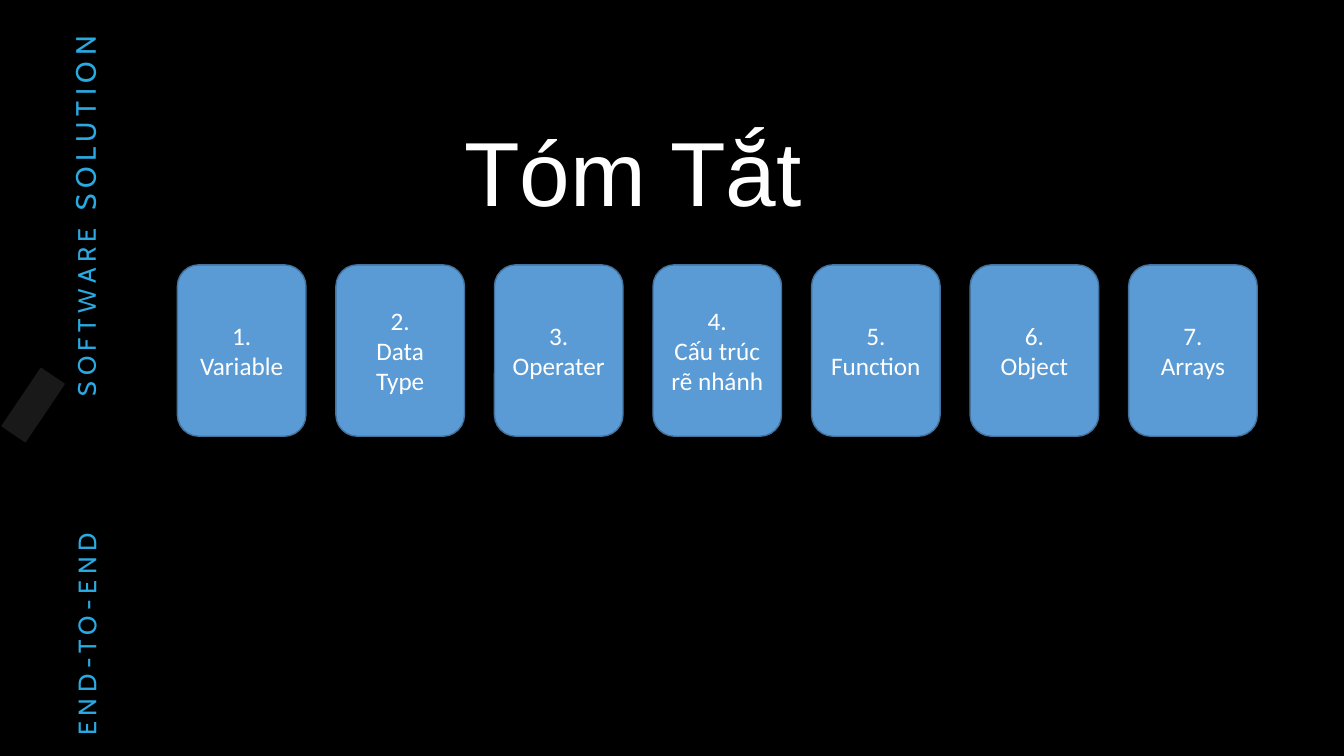
from pptx import Presentation
from pptx.dml.color import RGBColor
from pptx.enum.shapes import MSO_SHAPE
from pptx.enum.text import MSO_ANCHOR, PP_ALIGN
from pptx.util import Pt

COLOURS = {
    "background": "000000",
    "card": "5B9BD5",
    "card_line": "43739E",
    "text": "FFFFFF",
    "side_label": "29AAE2",
    "marker": "191919",
}
TOPICS = [
    ["1. Variable"],
    ["2.", "Data Type"],
    ["3.", "Operater"],
    ["4.", "Cấu trúc rẽ nhánh"],
    ["5. Function"],
    ["6.", "Object"],
    ["7.", "Arrays"],
]


def colour(name):
    """Return the named colour."""
    return RGBColor.from_string(COLOURS[name])


def add_run(paragraph, text, size, font, colour_name):
    """Append a formatted run to a paragraph."""
    run = paragraph.add_run()
    run.text = text
    run.font.size = Pt(size)
    run.font.name = font
    run.font.color.rgb = colour(colour_name)
    return run


def add_block(slide, kind, box, fill, line):
    """Add a flat filled shape in the given box."""
    shape = slide.shapes.add_shape(kind, *map(Pt, box))
    shape.shadow.inherit = False
    shape.fill.solid()
    shape.fill.fore_color.rgb = colour(fill)
    shape.line.color.rgb = colour(line)
    shape.line.width = Pt(1)
    return shape


def add_title(slide, box, text):
    """Add the slide title."""
    frame = slide.shapes.add_textbox(*map(Pt, box)).text_frame
    frame.word_wrap = False
    add_run(frame.paragraphs[0], text, 65, "Arial", "text")


def add_topic_cards(slide, box, topics, card_width):
    """Spread one card per topic evenly across the box."""
    left, top, width, height = box
    pitch = (width - card_width) / (len(topics) - 1)
    for index, lines in enumerate(topics):
        card_box = (left + index * pitch, top, card_width, height)
        card = add_block(slide, MSO_SHAPE.FLOWCHART_ALTERNATE_PROCESS,
                         card_box, "card", "card_line")
        frame = card.text_frame
        frame.word_wrap = True
        frame.vertical_anchor = MSO_ANCHOR.MIDDLE
        for number, line in enumerate(lines):
            paragraph = frame.add_paragraph() if number else frame.paragraphs[0]
            paragraph.alignment = PP_ALIGN.CENTER
            add_run(paragraph, line, 18, "Calibri", "text")


def add_side_label(slide, box, parts):
    """Add a letter-spaced label reading upwards inside an upright box."""
    left, top, width, height = box
    shift = (height - width) / 2
    label = slide.shapes.add_textbox(
        Pt(left - shift), Pt(top + shift), Pt(height), Pt(width))
    label.rotation = 270
    frame = label.text_frame
    frame.word_wrap = True
    frame.margin_left = frame.margin_right = 0
    frame.margin_top = frame.margin_bottom = 0
    paragraph = frame.paragraphs[0]
    paragraph.line_spacing = Pt(28.5)
    for text, size in parts:
        run = add_run(paragraph, text, size, "Cabin", "side_label")
        run.font._element.set("spc", "400")


def add_sidebar(slide, box):
    """Add the two upright labels and the tilted marker between them."""
    left, top, width, height = box
    label_left = left + width - 28
    add_side_label(slide, (label_left, top + height - 159, 28, 159),
                   [("END-TO-END", 18)])
    marker = add_block(slide, MSO_SHAPE.RECTANGLE,
                       (left + 13.7, top + 264.5, 20, 49.7), "marker", "marker")
    marker.rotation = 34
    add_side_label(slide, (label_left, top, 28, 283),
                   [("SOFTWARE", 18), (" SOLUTION", 20)])


def main():
    """Build the summary slide and save it."""
    presentation = Presentation()
    presentation.slide_width = Pt(960)
    presentation.slide_height = Pt(540)
    slide = presentation.slides.add_slide(presentation.slide_layouts[6])
    slide.background.fill.solid()
    slide.background.fill.fore_color.rgb = colour("background")
    add_topic_cards(slide, (126.7, 189.2, 771.3, 122.4), TOPICS, 91.8)
    add_sidebar(slide, (0, 0, 72, 525.5))
    add_title(slide, (324.7, 79.2, 269.3, 85.7), "Tóm Tắt")
    presentation.save("out.pptx")


if __name__ == "__main__":
    main()
